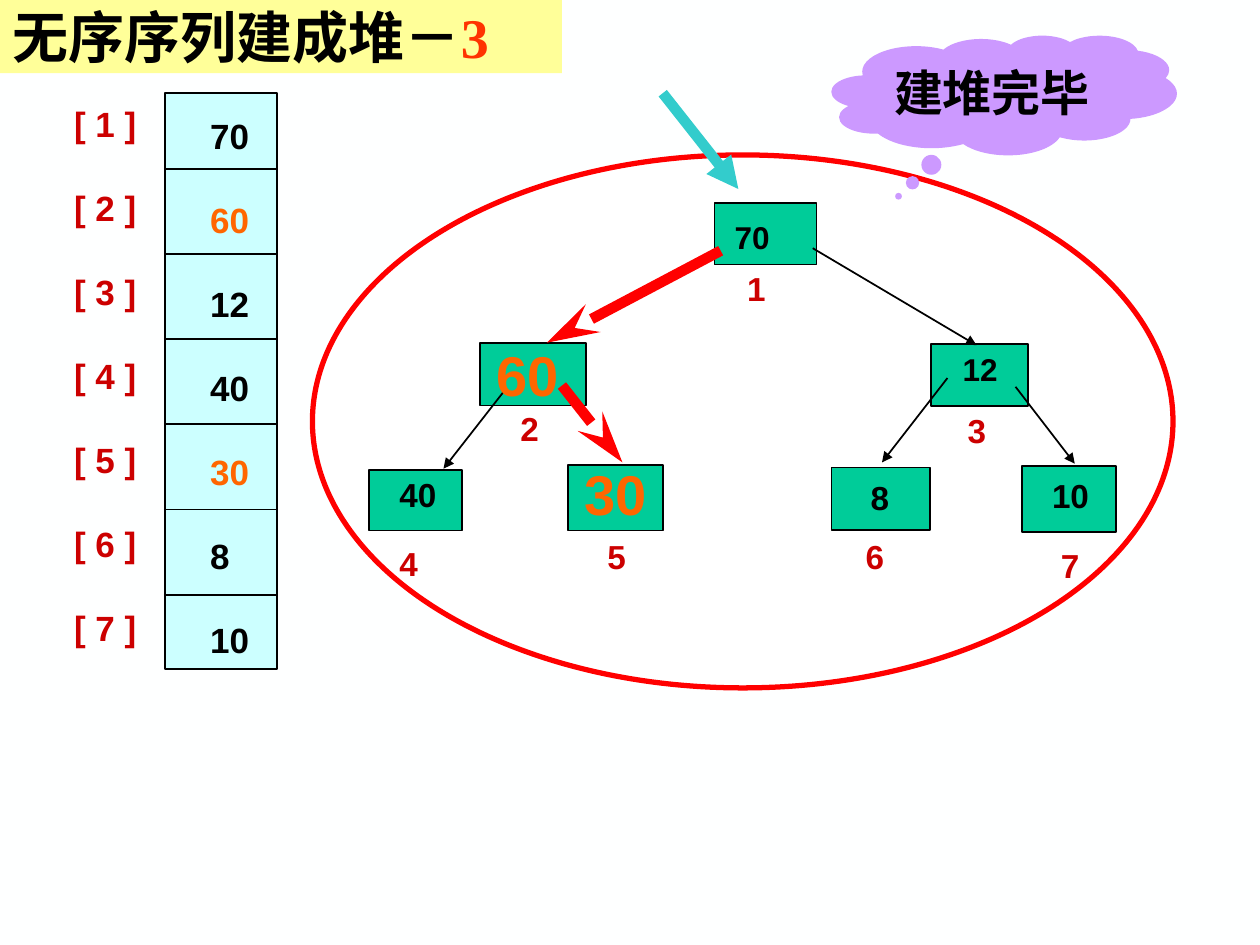
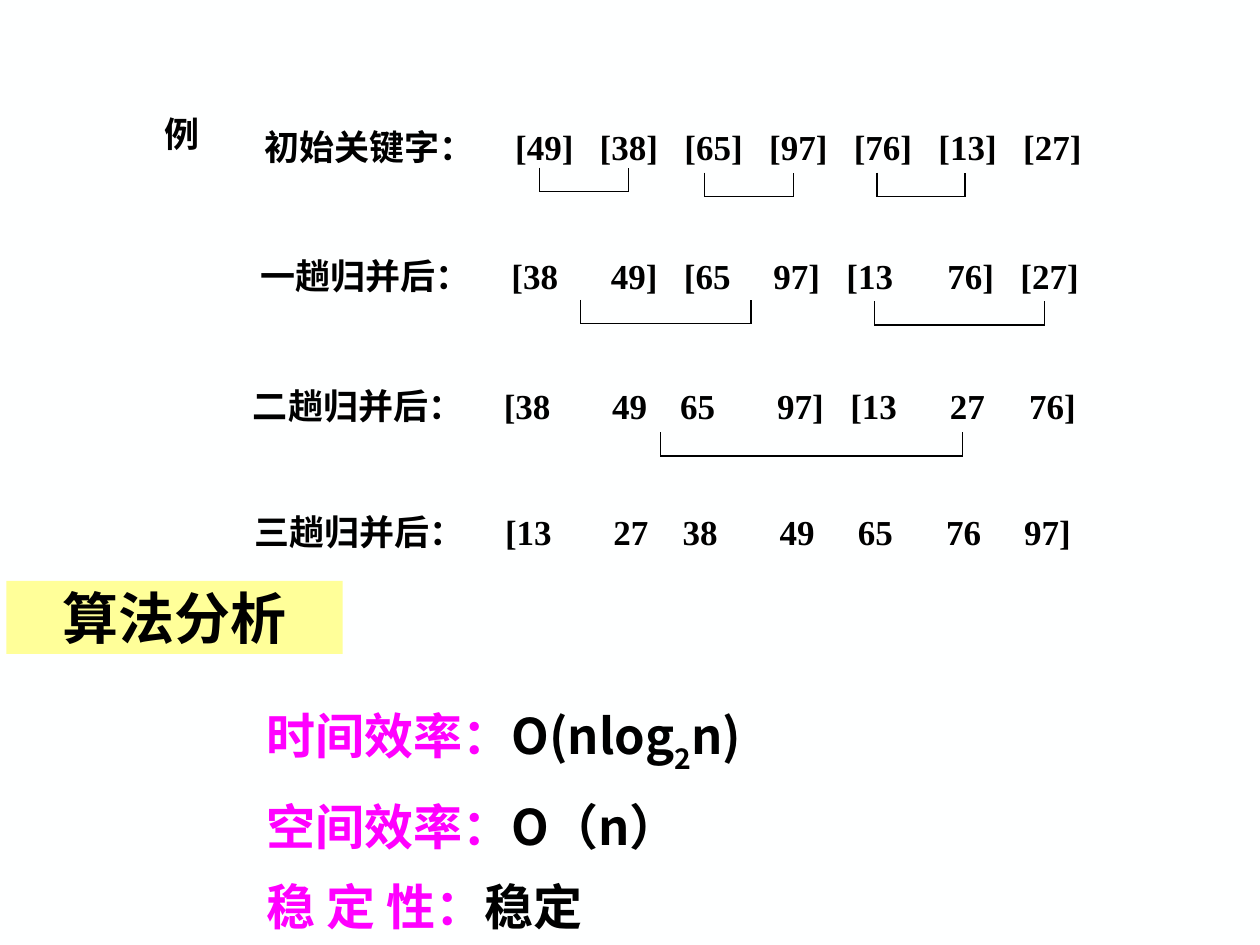
import pptx
import pptx.util
import pptx.dml.color
import pptx.enum.shapes
import pptx.enum.text
import pptx.oxml.ns
import lxml.etree

COLORS = {
    "page": "FEFFFF", "white": "FFFFFF", "black": "000000", "band": "FFFF99",
    "node": "00CC99", "cell": "CCFFFF", "red": "FF0000", "index": "CC0000",
    "swap": "FF6600", "step": "FF3300", "pointer": "33CCCC", "cloud": "CC99FF",
    "topic": "FF00FF",
}
SHAPES = pptx.enum.shapes.MSO_SHAPE
ALIGN = pptx.enum.text.PP_ALIGN
ANCHOR = pptx.enum.text.MSO_ANCHOR
CJK = "Noto Sans CJK SC"
SERIF = "Times New Roman"
qn = pptx.oxml.ns.qn

deck = pptx.Presentation()
deck.slide_width = pptx.util.Inches(10)
deck.slide_height = pptx.util.Inches(7.5)
CELL = deck.slide_width / 100


def write(text, page, area, shape=None, fill=None, line=None, weight=1, size=20, font=SERIF,
          color="black", align=ALIGN.LEFT, anchor=ANCHOR.TOP, inset=(1, 0.5), pitch=None,
          before=0, tabs=(), wrap=True):
    area = [round(value * CELL) for value in area]
    if shape is None:
        box = page.shapes.add_textbox(*area)
    else:
        box = page.shapes.add_shape(shape, *area)
        box.shadow.inherit = False
        box.fill.solid()
        box.fill.fore_color.rgb = pptx.dml.color.RGBColor.from_string(COLORS[fill])
        if line:
            box.line.color.rgb = pptx.dml.color.RGBColor.from_string(COLORS[line])
            box.line.width = pptx.util.Pt(weight)
        else:
            box.line.fill.background()
    frame = box.text_frame
    frame.word_wrap = wrap
    frame.vertical_anchor = anchor
    frame.margin_left = frame.margin_right = round(inset[0] * CELL)
    frame.margin_top = frame.margin_bottom = round(inset[1] * CELL)
    paragraphs = [[(text, {})]] if isinstance(text, str) else text
    for number, spans in enumerate(paragraphs):
        para = frame.paragraphs[0] if number == 0 else frame.add_paragraph()
        para.alignment = align
        if pitch:
            para.line_spacing = pitch
        if before and number:
            para.space_before = pptx.util.Pt(before)
        if tabs:
            stops = lxml.etree.SubElement(para._p.get_or_add_pPr(), qn("a:tabLst"))
            for stop in tabs:
                lxml.etree.SubElement(stops, qn("a:tab"), pos=str(round(stop * CELL)), algn="l")
        for words, look in spans:
            if not words:
                continue
            span = para.add_run()
            span.text = words
            span.font.size = pptx.util.Pt(size)
            span.font.bold = True
            span.font.name = font
            span.font.color.rgb = pptx.dml.color.RGBColor.from_string(COLORS[look.get("color", color)])
            properties = span._r.get_or_add_rPr()
            properties.find(qn("a:latin")).addnext(
                lxml.etree.Element(qn("a:ea"), typeface=CJK))
            if look.get("subscript"):
                properties.set("baseline", "-30000")
    return box


def connect(page, start, end, color="black", weight=1, head=None, length="med"):
    points = [round(value * CELL) for value in (*start, *end)]
    connector = page.shapes.add_connector(pptx.enum.shapes.MSO_CONNECTOR.STRAIGHT, *points)
    connector.line.color.rgb = pptx.dml.color.RGBColor.from_string(COLORS[color])
    connector.line.width = pptx.util.Pt(weight)
    if head:
        lxml.etree.SubElement(connector.line._get_or_add_ln(), qn("a:tailEnd"),
                              type=head, w="med", len=length)
    lxml.etree.SubElement(connector._element.spPr, qn("a:effectLst"))


pages = []
for number in range(2):
    page = deck.slides.add_slide(deck.slide_layouts[6])
    page.background.fill.solid()
    page.background.fill.fore_color.rgb = pptx.dml.color.RGBColor.from_string(COLORS["page"])
    pages.append(page)
heap_page, merge_page = pages
BAND = dict(shape=SHAPES.RECTANGLE, fill="band", size=32, anchor=ANCHOR.MIDDLE)

write("", heap_page, (24.8, 12.3, 68.3, 42.3), shape=SHAPES.OVAL, fill="white", line="red", weight=3)

nodes = [
    ("70", (56.7, 16.1, 8.1, 4.9), (57.5, 16.9), 18, (58.5, 20.9)),
    ("60", (38.1, 27.2, 8.4, 5), (38.6, 26.6), 32, (40.5, 32)),
    ("12", (73.9, 27.3, 7.7, 4.9), (75.6, 27.4), 18, (76, 32.2)),
    ("40", (29.3, 37.3, 7.4, 4.8), (30.9, 37.2), 19, (30.9, 42.7)),
    ("30", (45.1, 36.9, 7.5, 5.2), (45.6, 36.1), 32, (47.4, 42.2)),
    ("8", (66, 37.1, 7.8, 5), (68.3, 37.5), 19, (67.9, 42.2)),
    ("10", (81.1, 37, 7.5, 5.2), (82.7, 37.3), 19, (83.4, 42.9)),
]
for value, area, *rest in nodes:
    write("", heap_page, area, shape=SHAPES.RECTANGLE, fill="node", line="black")

for start, end in [
    ((64.5, 19.7), (77.5, 27.4)), ((40.2, 30.8), (35.2, 37.2)),
    ((75.2, 30), (70, 36.7)), ((80.6, 30.7), (85.3, 36.8)),
]:
    connect(heap_page, start, end, head="triangle")
for start, end in [((57.2, 19.9), (43.4, 27.2)), ((44.6, 30.6), (49.4, 36.7))]:
    connect(heap_page, start, end, color="red", weight=6, head="stealth", length="lg")
connect(heap_page, (52.6, 7.4), (58.6, 15), color="pointer", weight=6, head="triangle")

for index, (value, area, place, size, caption) in enumerate(nodes, 1):
    color = "swap" if size == 32 else "black"
    write(value, heap_page, (*place, 9, size * 0.16 + 0.8), size=size, font="Arial",
          color=color, inset=(0.8, 0.4))
    write(str(index), heap_page, (*caption, 4, 4), size=19, font="Arial",
          color="index", inset=(0.8, 0.4))

write("", heap_page, (13.1, 7.4, 8.9, 45.7), shape=SHAPES.RECTANGLE, fill="cell", line="black")
for row in range(6):
    level = 13.4 + row * 6.76
    connect(heap_page, (13, level), (22, level))

array_style = dict(font="Arial", pitch=pptx.util.Pt(48), wrap=False)
write([[(f"[ {index} ]", {})] for index in range(1, 8)], heap_page, (4.9, 4.3, 7, 47.7),
      color="index", **array_style)
write([[(value, {"color": "swap" if size == 32 else "black"})]
       for value, area, place, size, caption in nodes],
      heap_page, (15.7, 5.3, 5.1, 47.7), **array_style)

write([[("无序序列建成堆－", {}), ("3", {"color": "step"})]], heap_page, (0, 0, 44.6, 5.8), **BAND)
cloud = write("建堆完毕", heap_page, (66, 2.8, 27.4, 9.5), shape=SHAPES.CLOUD_CALLOUT,
              fill="cloud", size=28, align=ALIGN.CENTER, anchor=ANCHOR.MIDDLE, wrap=False)
cloud.adjustments[0] = -0.306
cloud.adjustments[1] = 0.845

write("例", merge_page, (12.1, 8.4, 4.8, 4.4), wrap=False)
passes = [
    (20, 9.5, "初始关键字：", "[49] [38] [65] [97] [76] [13] [27]",
     [40.9 + 6.72 * step for step in range(7)]),
    (19.7, 19.7, "一趟归并后：", "[38 49] [65 97] [13 76] [27]",
     [40.6, 48.5, 54.3, 61.4, 67.2, 75.2, 81]),
    (19.1, 30, "二趟归并后：", "[38 49 65 97] [13 27 76]",
     [40, 48.6, 54, 61.7, 67.5, 75.4, 81.7]),
    (19.2, 40, "三趟归并后：", "[13 27 38 49 65 76 97]",
     [40.1, 48.7, 54.2, 61.9, 68.1, 75.1, 81.3]),
]
for left, top, label, keys, columns in passes:
    write("\t".join([label, *keys.split()]), merge_page, (left, top, 68, 4.4),
          tabs=[column - left - 1 for column in columns])

for left, right, bottom in [
    (42.8, 49.9, 15.2), (55.9, 63, 15.6), (69.6, 76.6, 15.6),
    (46.1, 59.6, 25.7), (69.4, 82.9, 25.8), (52.4, 76.4, 36.2),
]:
    corners = [(left, bottom - 1.9), (left, bottom), (right, bottom), (right, bottom - 1.9)]
    for start, end in zip(corners, corners[1:]):
        connect(merge_page, start, end, weight=0.75)

write("算法分析", merge_page, (0.5, 46.1, 26.7, 5.8), align=ALIGN.CENTER, **BAND)
topic = {"color": "topic"}
write([
    [("时间效率：", topic), ("O(nlog", {}), ("2", {"subscript": True}), ("n)", {})],
    [("空间效率：", topic), ("O（n）", {})],
    [("稳 定 性：", topic), ("稳定", {})],
], merge_page, (20.2, 54.7, 49.7, 19), size=28, font=CJK, pitch=1.15, before=7)

deck.save("out.pptx")
